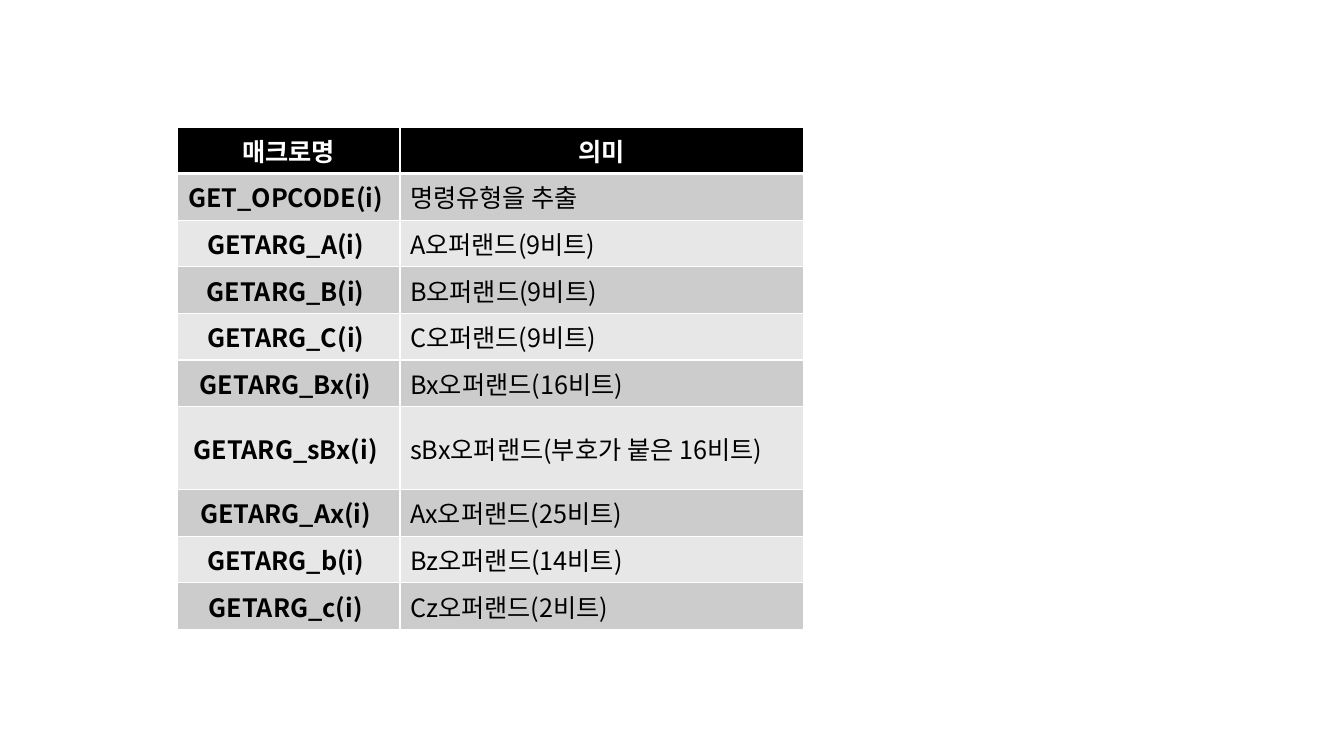
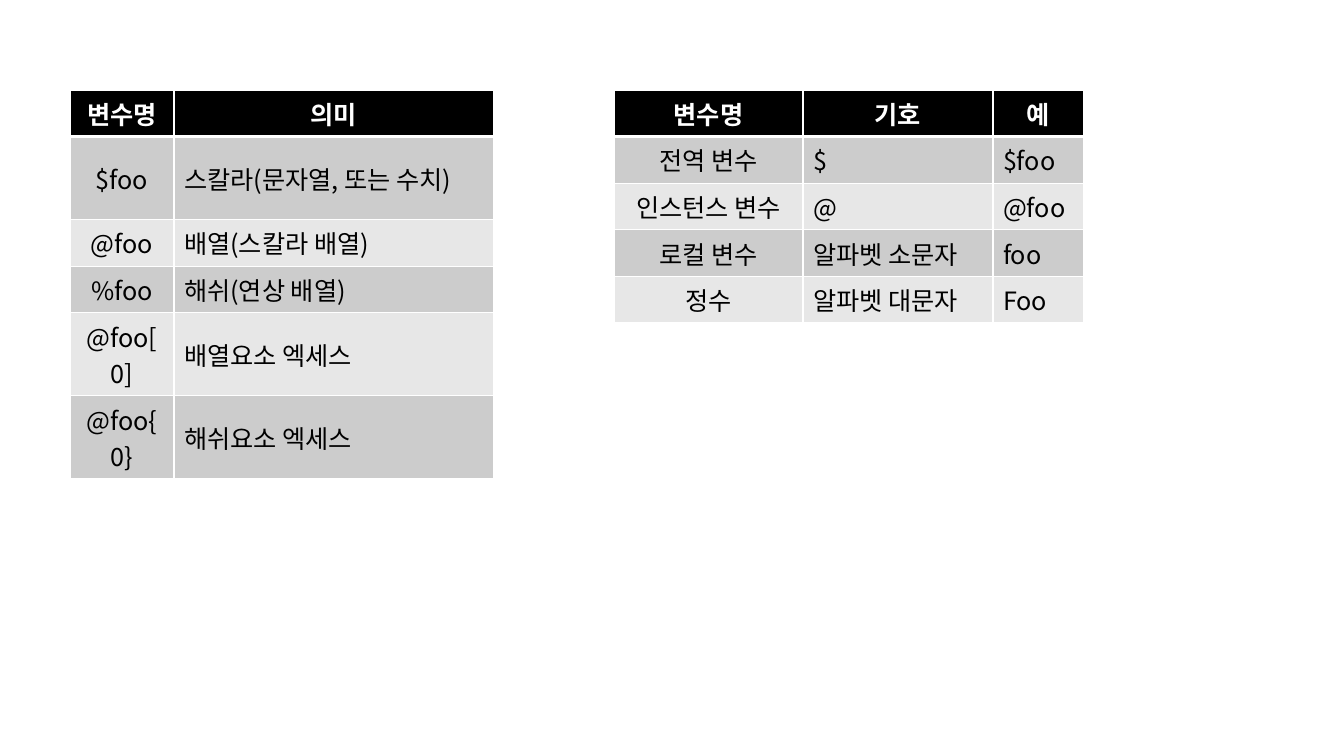
from lxml import etree
from pptx import Presentation
from pptx.dml.color import RGBColor
from pptx.enum.text import MSO_ANCHOR, PP_ALIGN
from pptx.oxml.ns import qn
from pptx.util import Emu, Pt

CENTER, LEFT = PP_ALIGN.CENTER, PP_ALIGN.LEFT
MIDDLE = MSO_ANCHOR.MIDDLE
PIXEL = 914400 / 100.8
FONT = "Noto Sans CJK KR"
FONT_SIZE = 18
ROW_HEIGHT = 41
COLORS = {
    "header": "000000",
    "header_text": "FFFFFF",
    "text": "000000",
    "odd_row": "CCCCCC",
    "even_row": "E7E7E7",
    "border": "FFFFFF",
}


def write_text(cell, text, color=COLORS["text"], bold=False, align=LEFT):
    cell.vertical_anchor = MIDDLE
    para = cell.text_frame.paragraphs[0]
    para.alignment = align
    span = para.add_run()
    span.text = text
    span.font.size = Pt(FONT_SIZE)
    span.font.bold = bold
    span.font.color.rgb = RGBColor.from_string(color)
    span.font.name = FONT
    etree.SubElement(span.font._element, qn("a:ea"), typeface=FONT)


def style_cell(cell, fill, bottom_width=1):
    properties = cell._tc.get_or_add_tcPr()
    for side, width in (("L", 1), ("R", 1), ("T", 1), ("B", bottom_width)):
        line = etree.SubElement(properties, qn(f"a:ln{side}"), w=str(Pt(width)))
        solid = etree.SubElement(line, qn("a:solidFill"))
        etree.SubElement(solid, qn("a:srgbClr"), val=COLORS["border"])
    cell.fill.solid()
    cell.fill.fore_color.rgb = RGBColor.from_string(fill)


# Content: each slide is a list of tables, and the first row is the header
macro_table = {
    "left": 177, "top": 127, "columns": [223, 404], "bold_names": True,
    "rows": [
        ("매크로명", "의미"),
        ("GET_OPCODE(i) ", "명령유형을 추출"),
        ("GETARG_A(i) ", "A오퍼랜드(9비트)"),
        ("GETARG_B(i) ", "B오퍼랜드(9비트)"),
        ("GETARG_C(i) ", "C오퍼랜드(9비트)"),
        ("GETARG_Bx(i) ", "Bx오퍼랜드(16비트)"),
        ("GETARG_sBx(i) ", "sBx오퍼랜드(부호가 붙은 16비트)"),
        ("GETARG_Ax(i) ", "Ax오퍼랜드(25비트)"),
        ("GETARG_b(i) ", "Bz오퍼랜드(14비트)"),
        ("GETARG_c(i) ", "Cz오퍼랜드(2비트)"),
    ],
}
sigil_table = {
    "left": 70, "top": 90, "columns": [104, 320], "bold_names": False,
    "rows": [
        ("변수명", "의미"),
        ("$foo", "스칼라(문자열, 또는 수치)"),
        ("@foo", "배열(스칼라 배열)"),
        ("%foo", "해쉬(연상 배열)"),
        ("@foo[0]", "배열요소 엑세스"),
        ("@foo{0}", "해쉬요소 엑세스"),
    ],
}
scope_table = {
    "left": 614, "top": 90, "columns": [189, 190, 91], "bold_names": False,
    "rows": [
        ("변수명", "기호", "예"),
        ("전역 변수", "$", "$foo"),
        ("인스턴스 변수", "@", "@foo"),
        ("로컬 변수", "알파벳 소문자", "foo"),
        ("정수", "알파벳 대문자", "Foo"),
    ],
}

deck = Presentation()
deck.slide_width = Emu(round(1344 * PIXEL))
deck.slide_height = Emu(round(756 * PIXEL))
blank_layout = deck.slide_layouts[6]

for page_tables in ([macro_table], [sigil_table, scope_table]):
    page = deck.slides.add_slide(blank_layout)
    for content in page_tables:
        rows, columns = content["rows"], content["columns"]
        bounds = (content["left"], content["top"], sum(columns), ROW_HEIGHT * len(rows))
        frame = page.shapes.add_table(
            len(rows), len(columns), *(Emu(round(length * PIXEL)) for length in bounds))
        table = frame.table
        for column, width in zip(table.columns, columns):
            column.width = Emu(round(width * PIXEL))

        for row_index, row in enumerate(rows):
            table.rows[row_index].height = Emu(round(ROW_HEIGHT * PIXEL))
            band = COLORS["odd_row" if row_index % 2 else "even_row"]
            for column_index, text in enumerate(row):
                cell = table.cell(row_index, column_index)
                is_name = column_index == 0
                if row_index == 0:
                    style_cell(cell, COLORS["header"], bottom_width=3)
                    write_text(cell, text, color=COLORS["header_text"], bold=True, align=CENTER)
                else:
                    style_cell(cell, band)
                    write_text(cell, text, bold=is_name and content["bold_names"],
                               align=CENTER if is_name else LEFT)

deck.save("out.pptx")
